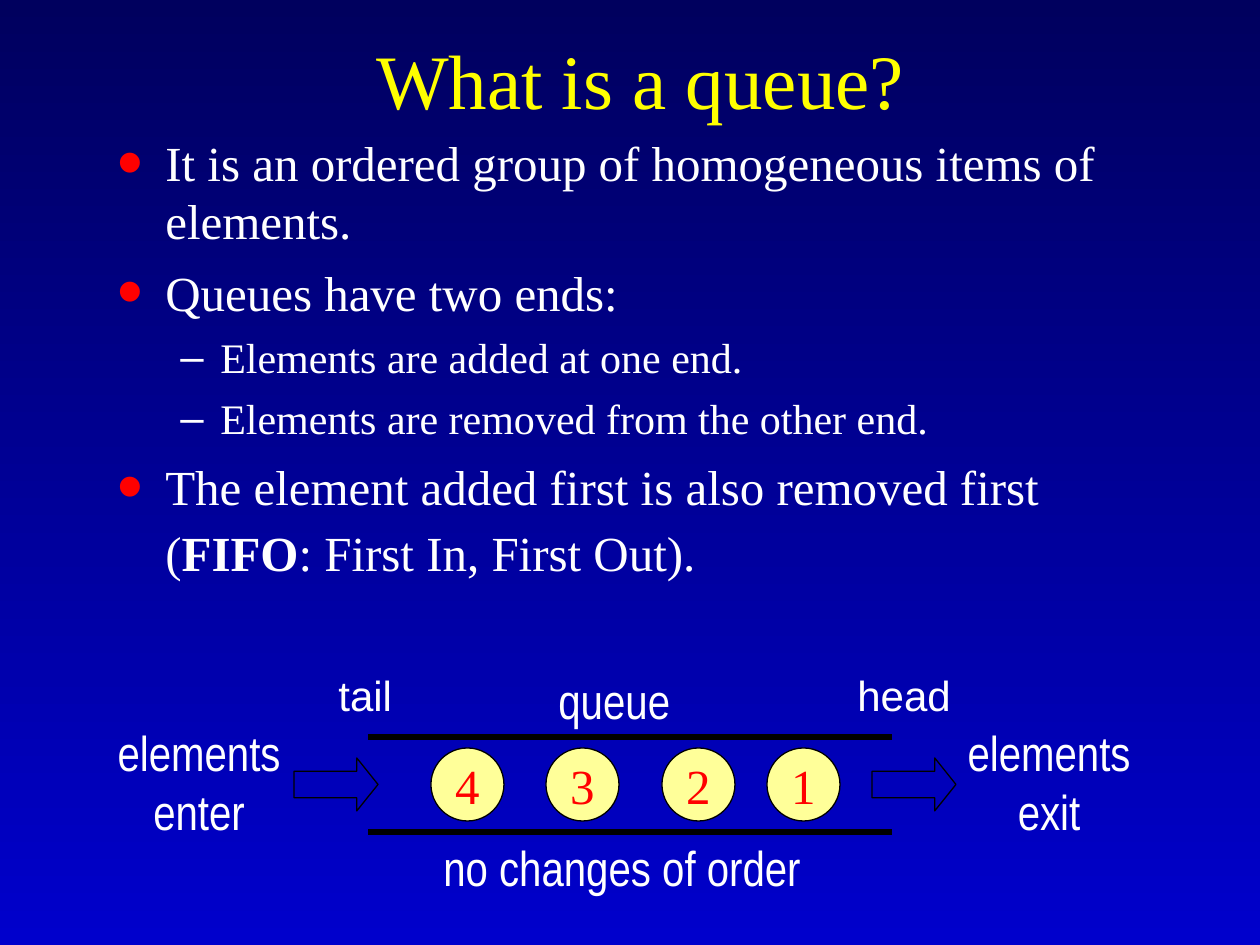
from typing import NamedTuple

from lxml.etree import SubElement
from pptx import Presentation
from pptx.dml.color import RGBColor
from pptx.enum.shapes import MSO_CONNECTOR as Connector, MSO_SHAPE as Shape
from pptx.enum.text import MSO_ANCHOR as Anchor, MSO_AUTO_SIZE as AutoSize, PP_ALIGN as Align
from pptx.oxml.ns import qn
from pptx.util import Emu, Pt

NAVY = RGBColor(0x00, 0x00, 0x5E)
BLUE = RGBColor(0x00, 0x00, 0xCC)
YELLOW = RGBColor(0xFF, 0xFF, 0x00)
CREAM = RGBColor(0xFF, 0xFF, 0x99)
RED = RGBColor(0xFF, 0x00, 0x00)
WHITE = RGBColor(0xFF, 0xFF, 0xFF)
BLACK = RGBColor(0x00, 0x00, 0x00)

SERIF, SANS, NARROW = "Times New Roman", "Arial", "Arial Narrow"
PX_PER_INCH = 126


class Run(NamedTuple):
    text: str
    size: int = 28
    bold: bool = False


class Level(NamedTuple):
    char: str
    color: RGBColor
    percent: int
    margin: int
    hang: int


class Item(NamedTuple):
    level: Level
    before: int
    runs: list[Run]


class Label(NamedTuple):
    lines: list[str]
    left: int
    top: int
    width: int
    height: int
    font: str = NARROW
    size: int = 28
    align: Align = Align.LEFT


class Node(NamedTuple):
    text: str
    left: int


MAIN = Level("•", RED, 150, 48, 48)
SUB = Level("–", WHITE, 100, 103, 40)

ITEMS = [
    Item(MAIN, 0, [Run("It is an ordered group of homogeneous items of elements.")]),
    Item(MAIN, 7, [Run("Queues have two ends:")]),
    Item(SUB, 6, [Run("Elements are added at one end.", 24)]),
    Item(SUB, 6, [Run("Elements are removed from the other end.", 24)]),
    Item(MAIN, 8, [Run("The element added first is also removed first ("),
                   Run("FIFO", bold=True),
                   Run(": First In, First Out)."), Run(" ", 32)]),
]
# Each label is a few px wider than its text, so it stays on its line
LABELS = [
    Label(["queue"], 546, 664, 146, 72),
    Label(["elements", "enter"], 101, 716, 196, 131, align=Align.CENTER),
    Label(["no changes of order"], 431, 831, 392, 72),
    Label(["elements", "exit"], 951, 716, 196, 131, align=Align.CENTER),
    Label(["tail"], 326, 663, 88, 63, SANS, 24),
    Label(["head"], 845, 663, 128, 63, SANS, 24),
]
NODES = [Node("4", 431), Node("3", 546), Node("2", 662), Node("1", 767)]
RAIL_TOPS = [737, 832]
ARROW_LEFTS = [294, 872]


def px(n: int) -> Emu:
    return Emu(round(n * 914400 / PX_PER_INCH))


def add_run(p, run: Run, font: str, color: RGBColor) -> None:
    r = p.add_run()
    r.text = run.text
    r.font.name, r.font.size, r.font.bold = font, Pt(run.size), run.bold
    r.font.color.rgb = color


def add_text_frame(s, left: int, top: int, width: int, height: int):
    tf = s.shapes.add_textbox(px(left), px(top), px(width), px(height)).text_frame
    tf.word_wrap = True
    tf.auto_size = AutoSize.NONE
    return tf


def set_bullet(p, level: Level) -> None:
    pPr = p._p.get_or_add_pPr()
    pPr.set("marL", str(px(level.margin)))
    pPr.set("indent", str(-px(level.hang)))
    color = SubElement(pPr, qn("a:buClr"))
    SubElement(color, qn("a:srgbClr"), val=str(level.color))
    SubElement(pPr, qn("a:buSzPct"), val=str(level.percent * 1000))
    SubElement(pPr, qn("a:buFont"), typeface=SANS)
    SubElement(pPr, qn("a:buChar"), char=level.char)


def add_title(s, text: str) -> None:
    tf = add_text_frame(s, 105, 0, 1071, 158)
    tf.vertical_anchor = Anchor.MIDDLE
    p = tf.paragraphs[0]
    p.alignment = Align.CENTER
    add_run(p, Run(text, 44), SERIF, YELLOW)


def add_body(s, items: list[Item]) -> None:
    tf = add_text_frame(s, 105, 126, 1071, 567)
    for i, item in enumerate(items):
        p = tf.add_paragraph() if i else tf.paragraphs[0]
        set_bullet(p, item.level)
        p.level = 1 if item.level is SUB else 0
        if item.before:
            p.space_before = Pt(item.before)
        for run in item.runs:
            add_run(p, run, SERIF, WHITE)


def add_rail(s, top: int) -> None:
    line = s.shapes.add_connector(Connector.STRAIGHT, px(368), px(top), px(892), px(top))
    line.line.color.rgb = BLACK
    line.line.width = Pt(3)
    SubElement(line._element.spPr, qn("a:effectLst"))


def add_outlined(s, kind: Shape, left: int, top: int, width: int, height: int):
    sp = s.shapes.add_shape(kind, px(left), px(top), px(width), px(height))
    sp.shadow.inherit = False
    sp.line.color.rgb = BLACK
    sp.line.width = Pt(0.75)
    return sp


def add_arrow(s, left: int) -> None:
    sp = add_outlined(s, Shape.RIGHT_ARROW, left, 758, 84, 53)
    sp.adjustments[0], sp.adjustments[1] = 0.5, 0.4
    sp.fill.background()


def add_node(s, node: Node) -> None:
    sp = add_outlined(s, Shape.OVAL, node.left, 748, 73, 73)
    sp.fill.solid()
    sp.fill.fore_color.rgb = CREAM
    tf = sp.text_frame
    tf.word_wrap = False
    tf.vertical_anchor = Anchor.MIDDLE
    p = tf.paragraphs[0]
    p.alignment = Align.CENTER
    add_run(p, Run(node.text), SERIF, RED)


def add_label(s, label: Label) -> None:
    tf = add_text_frame(s, label.left, label.top, label.width, label.height)
    for i, text in enumerate(label.lines):
        p = tf.add_paragraph() if i else tf.paragraphs[0]
        p.alignment = label.align
        add_run(p, Run(text, label.size), label.font, WHITE)


def main() -> None:
    prs = Presentation()
    prs.slide_width, prs.slide_height = px(1260), px(945)
    s = prs.slides.add_slide(prs.slide_layouts[6])

    # Background, dark at the top
    fill = s.background.fill
    fill.gradient()
    fill.gradient_angle = 270
    for stop, color in zip(fill.gradient_stops, (NAVY, BLUE)):
        stop.color.rgb = color

    # Title and bullets
    add_title(s, "What is a queue?")
    add_body(s, ITEMS)

    # Queue diagram
    for top in RAIL_TOPS:
        add_rail(s, top)
    for left in ARROW_LEFTS:
        add_arrow(s, left)
    for node in NODES:
        add_node(s, node)
    for label in LABELS:
        add_label(s, label)

    prs.save("out.pptx")


if __name__ == "__main__":
    main()
